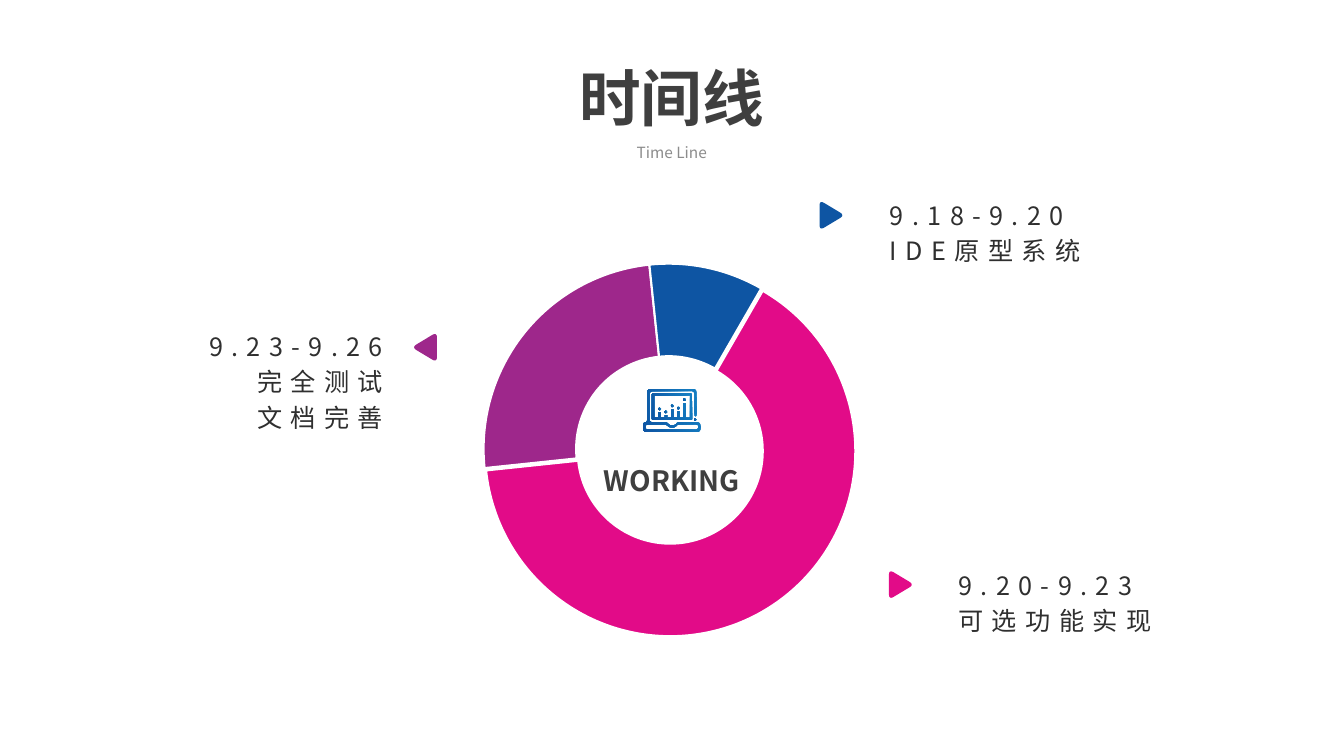
from lxml.etree import SubElement
from pptx import Presentation
from pptx.chart.data import CategoryChartData
from pptx.dml.color import RGBColor
from pptx.enum.chart import XL_CHART_TYPE as ChartType
from pptx.enum.shapes import MSO_SHAPE as Preset
from pptx.enum.text import MSO_ANCHOR as Anchor, PP_ALIGN as Align
from pptx.oxml.ns import qn
from pptx.util import Pt

FONT = "Noto Sans CJK SC"
DARK, BODY, GREY = "3F3F3F", "2F2F2F", "8C8C8C"
PINK, PURPLE, VIOLET, BLUE = "E20B88", "9E278B", "4A2C7B", "0E55A3"
LIGHT_BLUE = "1580C4"


def color(value):
    return RGBColor.from_string(value)


def write(box, lines, size=18, tint=BODY, bold=False, align=Align.LEFT,
          anchor=Anchor.TOP, line_spacing=0.9, spacing=0):
    """Fill a shape with one paragraph per line; spacing is between letters."""
    frame = box.text_frame
    frame.word_wrap = True
    frame.vertical_anchor = anchor
    for index, line in enumerate(lines):
        para = frame.add_paragraph() if index else frame.paragraphs[0]
        para.alignment = align
        para.line_spacing = line_spacing
        para.space_before = Pt(6 if index else 0)
        span = para.add_run()
        span.text = line
        span.font.size = Pt(size)
        span.font.bold = bold
        span.font.name = FONT
        span.font.color.rgb = color(tint)
        props = span.font._element
        if spacing:
            props.set("spc", str(spacing * 100))
        SubElement(props, qn("a:ea")).set("typeface", FONT)


def add_text(page, left, top, width, height, lines, **style):
    box = page.shapes.add_textbox(Pt(left), Pt(top), Pt(width), Pt(height))
    write(box, lines, **style)


def rectangle(left, top, right, bottom):
    return [(left, top), (right, top), (right, bottom), (left, bottom)]


def rounded(corners, radius, steps=6):
    """Replace each corner of a polygon by a sampled curve."""
    points = []
    for index, (x, y) in enumerate(corners):
        ends = []
        for nx, ny in (corners[index - 1], corners[(index + 1) % len(corners)]):
            length = ((nx - x) ** 2 + (ny - y) ** 2) ** 0.5
            share = min(radius / length, 0.5)
            ends.append((x + (nx - x) * share, y + (ny - y) * share))
        (ax, ay), (bx, by) = ends
        for step in range(steps + 1):
            t = step / steps
            u = 1 - t
            points.append((u * u * ax + 2 * u * t * x + t * t * bx,
                           u * u * ay + 2 * u * t * y + t * t * by))
    return points


def add_outline(page, left, top, contours):
    """Draw closed contours as one shape; inner contours become holes."""
    builder = None
    for contour in contours:
        points = [(Pt(left + x), Pt(top + y)) for x, y in contour]
        if builder is None:
            builder = page.shapes.build_freeform(*points[0], scale=1.0)
        else:
            builder.move_to(*points[0])
        builder.add_line_segments(points[1:], close=True)
    return builder.convert_to_shape()


def finish(shape, tint=None):
    """Use a plain tint, or the blue gradient of the icon."""
    shape.shadow.inherit = False
    shape.line.fill.background()
    if tint:
        shape.fill.solid()
        shape.fill.fore_color.rgb = color(tint)
        return
    shape.fill.gradient()
    shape.fill.gradient_angle = 200
    for stop, value in zip(shape.fill.gradient_stops, (LIGHT_BLUE, BLUE)):
        stop.color.rgb = color(value)


def add_marker(page, left, middle, tint, direction=1):
    tips = [(0, -10.8), (18, 0), (0, 10.8)]
    if direction < 0:
        tips = [(16.5 - x, y) for x, y in tips]
    finish(add_outline(page, left, middle, [rounded(tips, 4)]), tint)


def add_laptop(page, left, top):
    body = [(0, 23.8), (3, 23.8), (3, 0), (38.2, 0), (38.2, 19.5), (36.7, 19.5),
            (36.7, 1.5), (4.5, 1.5), (4.5, 23.8), (17.3, 23.8), (18.5, 25.9),
            (23, 25.9), (24.2, 23.8), (41, 23.8), (41, 30.6), (0, 30.6)]
    base = [(1.5, 25.2), (16.6, 25.2), (18.5, 27.4), (23, 27.4), (24.5, 25.2),
            (39.5, 25.2), (39.5, 29), (1.5, 29)]
    finish(add_outline(page, left, top, [rounded(body, 2.5), rounded(base, 2.5)]))

    bars = [(11.9, 16.6), (16.3, 18.7), (20.8, 14.4), (25.2, 16), (29.6, 10)]
    screen = [rounded(rectangle(6.3, 3, 35.2, 22), 1),
              rectangle(7.9, 4.8, 33.4, 20.4)]
    screen += [rectangle(x - 0.8, y, x + 0.8, 20.4) for x, y in bars]
    finish(add_outline(page, left, top, screen))

    for x, y in [(x, y - 2.4) for x, y in bars] + [(37.4, 21.6)]:
        finish(page.shapes.add_shape(Preset.OVAL, Pt(left + x - 0.9),
                                     Pt(top + y - 0.9), Pt(1.8), Pt(1.8)))


def add_ring(page):
    data = CategoryChartData()
    data.categories = ["1", "2", "3", "4"]
    data.add_series("Series 1", (65, 25, None, 10))
    chart = page.shapes.add_chart(ChartType.DOUGHNUT, Pt(232.6), Pt(153.4),
                                  Pt(494.6), Pt(329.8), data).chart
    chart.has_legend = chart.has_title = False
    chart.font.name = FONT
    chart.font.size = Pt(10)
    chart.font.color.rgb = color(DARK)
    plot = chart.plots[0]
    plot.vary_by_categories = True
    for index, tint in enumerate((PINK, PURPLE, VIOLET, BLUE)):
        look = plot.series[0].points[index].format
        look.fill.solid()
        look.fill.fore_color.rgb = color(tint)
        look.line.color.rgb = color("FFFFFF")
        look.line.width = Pt(1.5)
    pink = plot.series[0]._element.find(qn("c:dPt"))
    explosion = SubElement(pink, qn("c:explosion"))
    explosion.set("val", "3")
    pink.find(qn("c:spPr")).addprevious(explosion)
    for tag, value in (("c:firstSliceAng", "30"), ("c:holeSize", "65")):
        plot._element.find(qn(tag)).set("val", value)

    area = chart._chartSpace.chart.plotArea
    layout = area.find(qn("c:layout"))
    if layout is None:
        layout = SubElement(area, qn("c:layout"))
        area.insert(0, layout)
    manual = SubElement(layout, qn("c:manualLayout"))
    for tag, value in (("layoutTarget", "inner"), ("xMode", "edge"), ("yMode", "edge"),
                       ("x", "0.228"), ("y", "0.106"), ("w", "0.535"), ("h", "0.802")):
        SubElement(manual, qn("c:" + tag)).set("val", value)


def main():
    deck = Presentation()
    deck.slide_width, deck.slide_height = Pt(960), Pt(540)
    page = deck.slides.add_slide(deck.slide_layouts[5])
    title = page.shapes.title
    title.left, title.top, title.width, title.height = Pt(221.8), Pt(43.2), Pt(516.2), Pt(58.3)
    centered = {"align": Align.CENTER, "anchor": Anchor.MIDDLE}
    write(title, ["时间线"], size=44, tint=DARK, bold=True, **centered)
    add_text(page, 292.3, 97.2, 375.1, 25.2, ["Time Line"], size=11, tint=GREY, **centered)

    add_ring(page)
    add_laptop(page, 459.4, 277.9)
    add_text(page, 400.3, 326.9, 159.1, 31.7, ["WORKING"], size=20, tint=DARK,
             bold=True, line_spacing=1.0, **centered)

    add_marker(page, 585.4, 153.8, BLUE)
    add_text(page, 628.6, 141.8, 159.1, 74.2, ["9.18-9.20", "IDE原型系统"], spacing=6)
    add_marker(page, 635, 417.6, PINK)
    add_text(page, 677.5, 406.1, 158.4, 74.2, ["9.20-9.23", "可选功能实现"], spacing=6)
    add_marker(page, 295.6, 248.1, PURPLE, direction=-1)
    add_text(page, 117.4, 235.4, 163.4, 102.2, ["9.23-9.26", "完全测试", "文档完善"],
             spacing=6, align=Align.RIGHT)
    deck.save("out.pptx")


if __name__ == "__main__":
    main()
